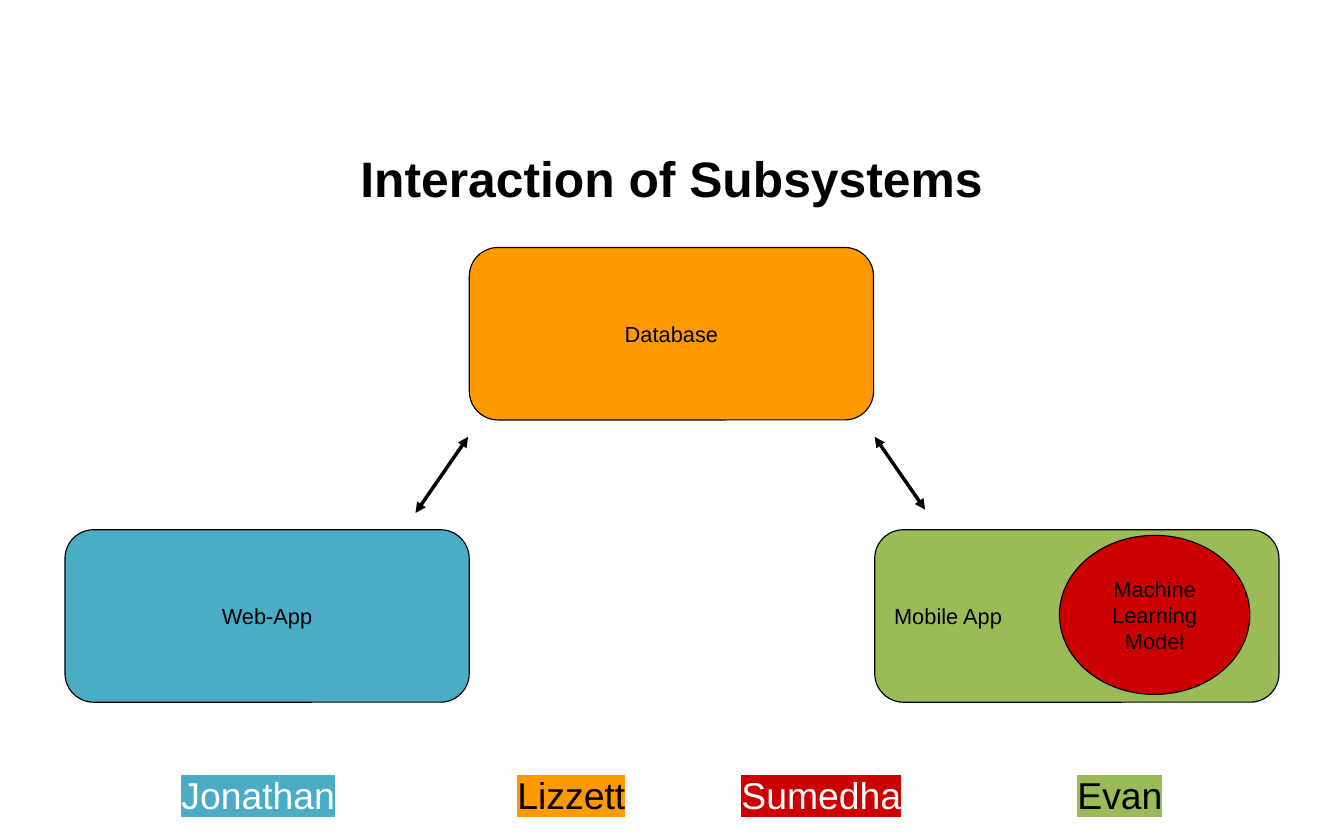
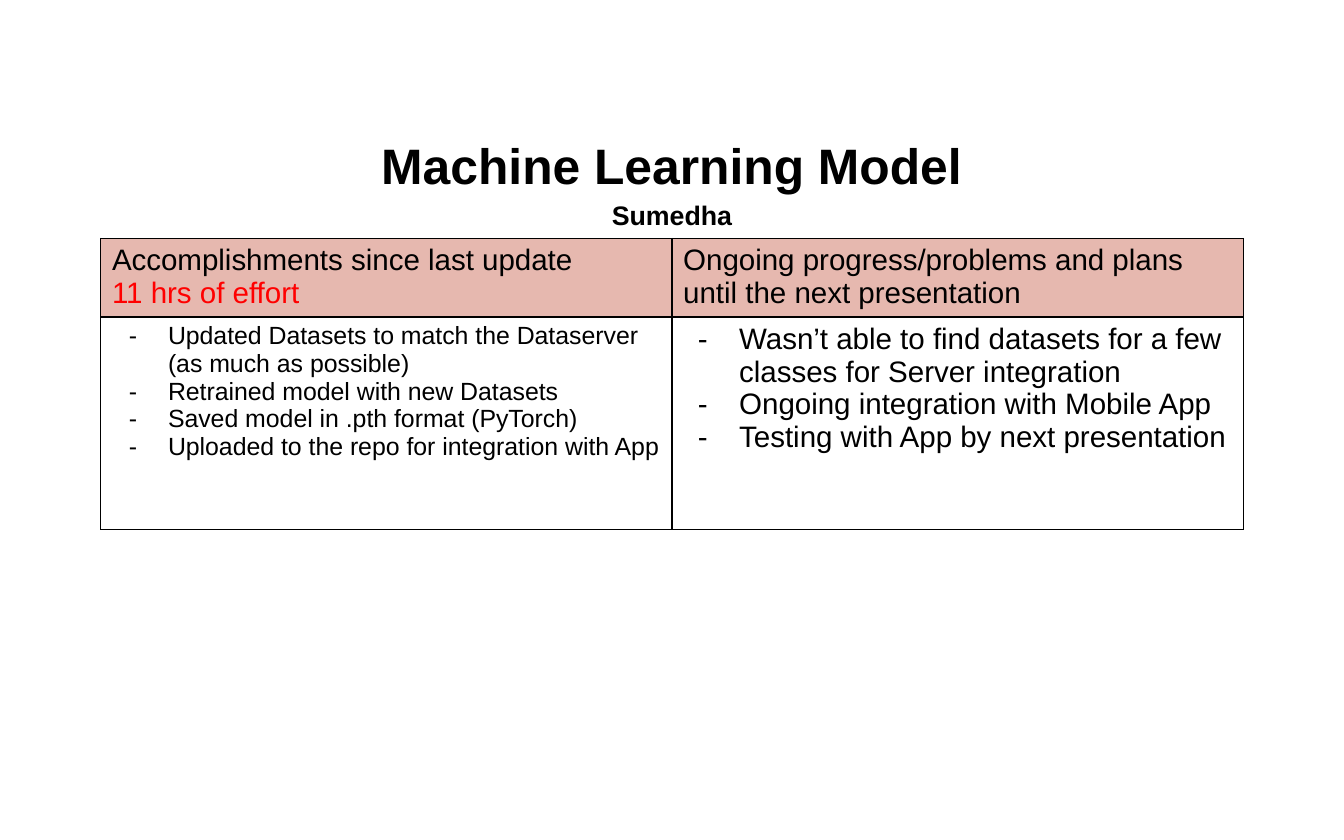
from dataclasses import dataclass

from lxml import etree
from pptx import Presentation
from pptx.dml.color import RGBColor
from pptx.enum.shapes import MSO_CONNECTOR, MSO_SHAPE
from pptx.enum.text import MSO_ANCHOR, MSO_AUTO_SIZE, PP_ALIGN
from pptx.oxml.ns import qn
from pptx.util import Inches, Pt

ROUND, OVAL = MSO_SHAPE.ROUNDED_RECTANGLE, MSO_SHAPE.OVAL
LEFT, CENTER = PP_ALIGN.LEFT, PP_ALIGN.CENTER
MIDDLE = MSO_ANCHOR.MIDDLE
STRAIGHT = MSO_CONNECTOR.STRAIGHT
NO_FIT = MSO_AUTO_SIZE.NONE


@dataclass(frozen=True)
class Theme:
    font: str = "Arial"
    black: str = "000000"
    white: str = "FFFFFF"
    blue: str = "4BACC6"
    orange: str = "FF9900"
    green: str = "9BBB59"
    crimson: str = "CC0000"
    red: str = "FF0000"
    pink: str = "E6B8AF"
    title: float = 32
    owner: float = 17.2
    label: float = 14
    name: float = 24
    head: float = 19
    small: float = 16


T = Theme()


@dataclass(frozen=True)
class Node:
    text: str
    fill: str
    left: float
    top: float
    width: float = 3.61
    height: float = 1.54
    kind: int = ROUND
    align: int = CENTER


@dataclass(frozen=True)
class Arrow:
    x1: float
    y1: float
    x2: float
    y2: float


@dataclass(frozen=True)
class Member:
    name: str
    back: str
    color: str
    stop: float


@dataclass(frozen=True)
class Column:
    head: tuple[str, ...]
    items: tuple[str, ...]
    size: float
    hang: float


NODES = (
    Node("Web-App", T.blue, 0.58, 4.73),
    Node("Database", T.orange, 4.19, 2.21),
    Node("Mobile App", T.green, 7.81, 4.73, align=LEFT),
    Node("Machine Learning Model", T.crimson, 9.46, 4.78, 1.7, 1.42, OVAL),
)
ARROWS = (Arrow(3.71, 4.58, 4.18, 3.9), Arrow(8.26, 4.55, 7.81, 3.9))
TEAM = (
    Member("Jonathan", T.blue, T.white, 0),
    Member("Lizzett", T.orange, T.black, 3),
    Member("Sumedha", T.crimson, T.white, 5),
    Member("Evan", T.green, T.black, 8),
)
COLUMNS = (
    Column(
        ("Accomplishments since last update", "11 hrs of effort"),
        (
            "Updated Datasets to match the Dataserver (as much as possible)",
            "Retrained model with new Datasets",
            "Saved model in .pth format (PyTorch)",
            "Uploaded to the repo for integration with App",
        ),
        T.small, 0.35,
    ),
    Column(
        ("Ongoing progress/problems and plans until the next presentation",),
        (
            "Wasn’t able to find datasets for a few classes for Server integration",
            "Ongoing integration with Mobile App",
            "Testing with App by next presentation",
        ),
        T.head, 0.37,
    ),
)


def rgb(color: str) -> RGBColor:
    return RGBColor.from_string(color)


def add(parent, tag: str, **attrs: str):
    """Append a drawing element to parent."""
    return etree.SubElement(parent, qn(tag), attrs)


def style(para, size: float, color: str = T.black, bold: bool = False) -> None:
    font = para.font
    font.name, font.size, font.bold = T.font, Pt(size), bold
    font.color.rgb = rgb(color)


def paras(frame, texts: tuple[str, ...]) -> list:
    """Put one text in each paragraph of the frame."""
    frame.text = "\n".join(texts)
    return list(frame.paragraphs)


def inset(frame, side: float = 0.1, end: float = 0.1) -> None:
    frame.margin_left = frame.margin_right = Inches(side)
    frame.margin_top = frame.margin_bottom = Inches(end)
    frame.word_wrap = True


def add_slide(deck, title: str, owner: str = ""):
    slide = deck.slides.add_slide(deck.slide_layouts[5])
    head = slide.shapes.title
    head.left, head.top = Inches(0.6), Inches(1.15)
    head.width, head.height = Inches(10.8), Inches(0.88)
    frame = head.text_frame
    inset(frame, end=0.05)
    frame.auto_size, frame.vertical_anchor = NO_FIT, MIDDLE
    lines = (title, owner) if owner else (title,)
    for para, size in zip(paras(frame, lines), (T.title, T.owner)):
        para.alignment = CENTER
        para.space_before = Pt(0)
        if owner:
            para.line_spacing = 1.15
        style(para, size, bold=True)
    return slide


def add_node(slide, node: Node) -> None:
    shape = slide.shapes.add_shape(
        node.kind, Inches(node.left), Inches(node.top),
        Inches(node.width), Inches(node.height))
    shape.shadow.inherit = False
    shape.fill.solid()
    shape.fill.fore_color.rgb = rgb(node.fill)
    shape.line.color.rgb = rgb(T.black)
    shape.line.width = Pt(0.75)
    frame = shape.text_frame
    inset(frame)
    frame.vertical_anchor = MIDDLE
    para = paras(frame, (node.text,))[0]
    para.alignment = node.align
    style(para, T.label)


def add_arrow(slide, arrow: Arrow) -> None:
    link = slide.shapes.add_connector(
        STRAIGHT, Inches(arrow.x1), Inches(arrow.y1),
        Inches(arrow.x2), Inches(arrow.y2))
    link.line.color.rgb = rgb(T.black)
    link.line.width = Pt(2.25)
    line = link.line._get_or_add_ln()
    for tag in ("a:headEnd", "a:tailEnd"):
        add(line, tag, type="triangle")
    add(link._element.spPr, "a:effectLst")


def add_team(slide) -> None:
    box = slide.shapes.add_textbox(
        Inches(0.58), Inches(6.79), Inches(10.84), Inches(0.46))
    frame = box.text_frame
    inset(frame)
    frame.margin_left = Inches(1.04)
    para = frame.paragraphs[0]
    para.alignment = LEFT
    tabs = add(para._p.get_or_add_pPr(), "a:tabLst")
    for member in TEAM:
        if member.stop:
            add(tabs, "a:tab", pos=str(Inches(member.stop)), algn="l")
            para.add_run().text = "\t"
        run = para.add_run()
        run.text = member.name
        run.font.color.rgb = rgb(member.color)
        mark = add(run._r.get_or_add_rPr(), "a:highlight")
        add(mark, "a:srgbClr", val=member.back)
    style(para, T.name)


def set_bullet(para, hang: float) -> None:
    props = para._p.get_or_add_pPr()
    props.set("marL", str(Inches(0.5)))
    props.set("indent", str(-Inches(hang)))
    add(add(props, "a:buClr"), "a:srgbClr", val=T.black)
    add(props, "a:buFont", typeface=T.font)
    add(props, "a:buChar", char="-")


def set_border(cell) -> None:
    props = cell._tc.get_or_add_tcPr()
    for side in "LRTB":
        line = add(props, f"a:ln{side}", w=str(Pt(1)))
        add(add(line, "a:solidFill"), "a:srgbClr", val=T.black)


def add_report(slide) -> None:
    table = slide.shapes.add_table(
        2, len(COLUMNS), Inches(0.9), Inches(2.13),
        Inches(10.2), Inches(2.6)).table
    table.first_row = table.horz_banding = False
    for row, height in zip(table.rows, (0.7, 1.9)):
        row.height = Inches(height)
    for index, column in enumerate(COLUMNS):
        table.columns[index].width = Inches(5.1)
        head, body = table.cell(0, index), table.cell(1, index)
        for cell in (head, body):
            set_border(cell)
        head.fill.solid()
        head.fill.fore_color.rgb = rgb(T.pink)
        body.fill.background()
        lines = paras(head.text_frame, column.head)
        for para, color in zip(lines, (T.black, T.red)):
            style(para, T.head, color)
        for para in paras(body.text_frame, column.items):
            set_bullet(para, column.hang)
            style(para, column.size)


def main() -> None:
    deck = Presentation()
    deck.slide_width, deck.slide_height = Inches(12), Inches(7.5)

    system = add_slide(deck, "Interaction of Subsystems")
    for node in NODES:
        add_node(system, node)
    for arrow in ARROWS:
        add_arrow(system, arrow)
    add_team(system)

    model = add_slide(deck, "Machine Learning Model", "Sumedha")
    add_report(model)
    deck.save("out.pptx")


if __name__ == "__main__":
    main()
